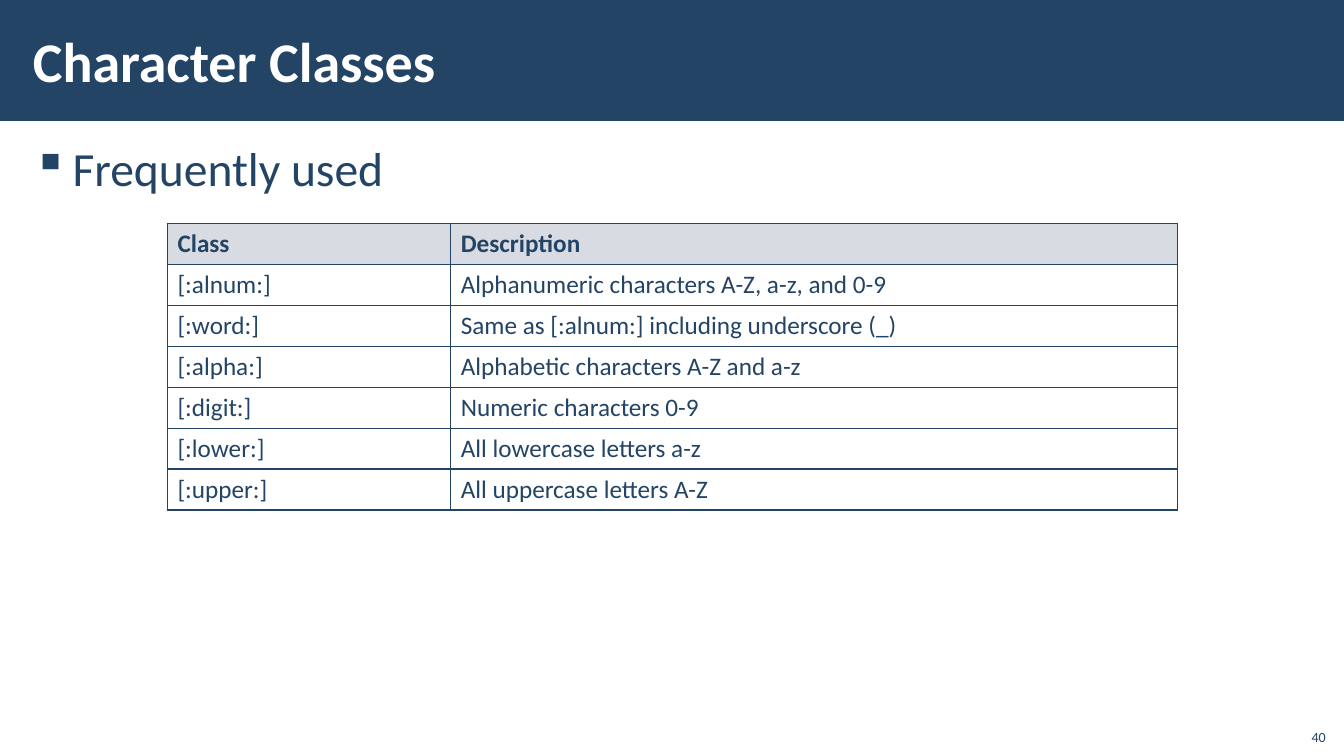
from dataclasses import dataclass

import lxml.etree
import pptx
import pptx.dml.color
import pptx.enum.shapes
import pptx.enum.text
import pptx.oxml.ns
import pptx.slide
import pptx.table
import pptx.text.text
import pptx.util
from pptx.util import Cm

Align = pptx.enum.text.PP_ALIGN
Anchor = pptx.enum.text.MSO_ANCHOR
Color = pptx.dml.color.RGBColor
qn = pptx.oxml.ns.qn


@dataclass(frozen=True)
class Theme:
    navy: Color = Color(0x23, 0x44, 0x65)
    white: Color = Color(0xFF, 0xFF, 0xFF)
    header_gray: Color = Color(0xD8, 0xDB, 0xE2)
    font: str = "Calibri"
    title_size: int = 40
    body_size: int = 34
    table_size: int = 18
    number_size: int = 10
    border_width: int = 1


@dataclass(frozen=True)
class Label:
    text: str
    left: float
    top: float
    width: float
    height: float
    size: int
    color: Color
    bold: bool = False
    anchor: Anchor = Anchor.TOP
    align: Align = Align.LEFT
    side_inset: float = 0.3


@dataclass(frozen=True)
class CharacterClass:
    name: str
    description: str


THEME = Theme()
PAGE_WIDTH, PAGE_HEIGHT = 33.87, 19.05
BAND_HEIGHT = 3.05
TABLE_LEFT, TABLE_TOP = 4.22, 5.64
COLUMN_WIDTHS = (7.14, 18.31)
ROW_HEIGHT = 1.03

TITLE = Label("Character Classes", 0.53, 0.28, 27, 2.46, THEME.title_size,
              THEME.white, bold=True, anchor=Anchor.MIDDLE)
BODY = Label("Frequently used", 0.53, 3.33, 32.82, 15.37, THEME.body_size, THEME.navy)
PAGE_NUMBER = Label("40", 32.64, 18.08, 1.02, 0.81, THEME.number_size, THEME.navy,
                    anchor=Anchor.BOTTOM, align=Align.RIGHT, side_inset=0.25)

HEADER = CharacterClass("Class", "Description")
CLASSES = (
    CharacterClass("[:alnum:]", "Alphanumeric characters A-Z, a-z, and 0-9"),
    CharacterClass("[:word:]", "Same as [:alnum:] including underscore (_)"),
    CharacterClass("[:alpha:]", "Alphabetic characters A-Z and a-z"),
    CharacterClass("[:digit:]", "Numeric characters 0-9"),
    CharacterClass("[:lower:]", "All lowercase letters a-z"),
    CharacterClass("[:upper:]", "All uppercase letters A-Z"),
)


def style_text(para: pptx.text.text._Paragraph, size: int, color: Color, bold: bool) -> None:
    for span in para.runs:
        span.font.name = THEME.font
        span.font.size = pptx.util.Pt(size)
        span.font.color.rgb = color
        span.font.bold = bold


def add_label(page: pptx.slide.Slide, label: Label) -> pptx.text.text._Paragraph:
    box = page.shapes.add_textbox(Cm(label.left), Cm(label.top),
                                  Cm(label.width), Cm(label.height))
    frame = box.text_frame
    frame.word_wrap = True
    frame.vertical_anchor = label.anchor
    frame.margin_left = frame.margin_right = Cm(label.side_inset)
    frame.margin_top = frame.margin_bottom = Cm(0.1)
    frame.text = label.text
    para = frame.paragraphs[0]
    para.alignment = label.align
    style_text(para, label.size, label.color, label.bold)
    return para


def add_bullet(para: pptx.text.text._Paragraph, symbol: str, indent: float) -> None:
    para.line_spacing = 1.05
    para.space_before = para.space_after = pptx.util.Pt(6)
    properties = para._p.get_or_add_pPr()
    properties.set("marL", str(Cm(indent)))
    properties.set("indent", str(-Cm(indent)))
    lxml.etree.SubElement(properties, qn("a:buChar"), char=symbol)


def add_borders(cell: pptx.table._Cell) -> None:
    properties = cell._tc.get_or_add_tcPr()
    width = str(pptx.util.Pt(THEME.border_width))
    for side in ("a:lnL", "a:lnR", "a:lnT", "a:lnB"):
        line = lxml.etree.SubElement(properties, qn(side), w=width)
        fill = lxml.etree.SubElement(line, qn("a:solidFill"))
        lxml.etree.SubElement(fill, qn("a:srgbClr"), val=str(THEME.navy))


def fill_cell(cell: pptx.table._Cell, text: str, is_header: bool) -> None:
    cell.text_frame.text = text
    style_text(cell.text_frame.paragraphs[0], THEME.table_size, THEME.navy, is_header)
    add_borders(cell)
    if is_header:
        cell.fill.solid()
        cell.fill.fore_color.rgb = THEME.header_gray
    else:
        cell.fill.background()


def add_class_table(page: pptx.slide.Slide) -> None:
    entries = (HEADER, *CLASSES)
    table = page.shapes.add_table(
        len(entries), len(COLUMN_WIDTHS), Cm(TABLE_LEFT), Cm(TABLE_TOP),
        Cm(sum(COLUMN_WIDTHS)), Cm(ROW_HEIGHT * len(entries))).table
    table.horz_banding = False
    for column, width in zip(table.columns, COLUMN_WIDTHS):
        column.width = Cm(width)
    for row, entry in zip(table.rows, entries):
        row.height = Cm(ROW_HEIGHT)
        for cell, text in zip(row.cells, (entry.name, entry.description)):
            fill_cell(cell, text, entry is HEADER)


def add_title_band(page: pptx.slide.Slide) -> None:
    band = page.shapes.add_shape(pptx.enum.shapes.MSO_SHAPE.RECTANGLE,
                                 0, 0, Cm(PAGE_WIDTH), Cm(BAND_HEIGHT))
    band.shadow.inherit = False
    band.fill.solid()
    band.fill.fore_color.rgb = THEME.navy
    band.line.fill.background()


def main() -> None:
    deck = pptx.Presentation()
    deck.slide_width, deck.slide_height = Cm(PAGE_WIDTH), Cm(PAGE_HEIGHT)
    page = deck.slides.add_slide(deck.slide_layouts[6])

    # Title band
    add_title_band(page)
    add_label(page, TITLE)

    # Bullet and table of classes
    add_bullet(add_label(page, BODY), "▪", indent=1)
    add_class_table(page)

    # Page number
    add_label(page, PAGE_NUMBER)

    deck.save("out.pptx")


if __name__ == "__main__":
    main()
